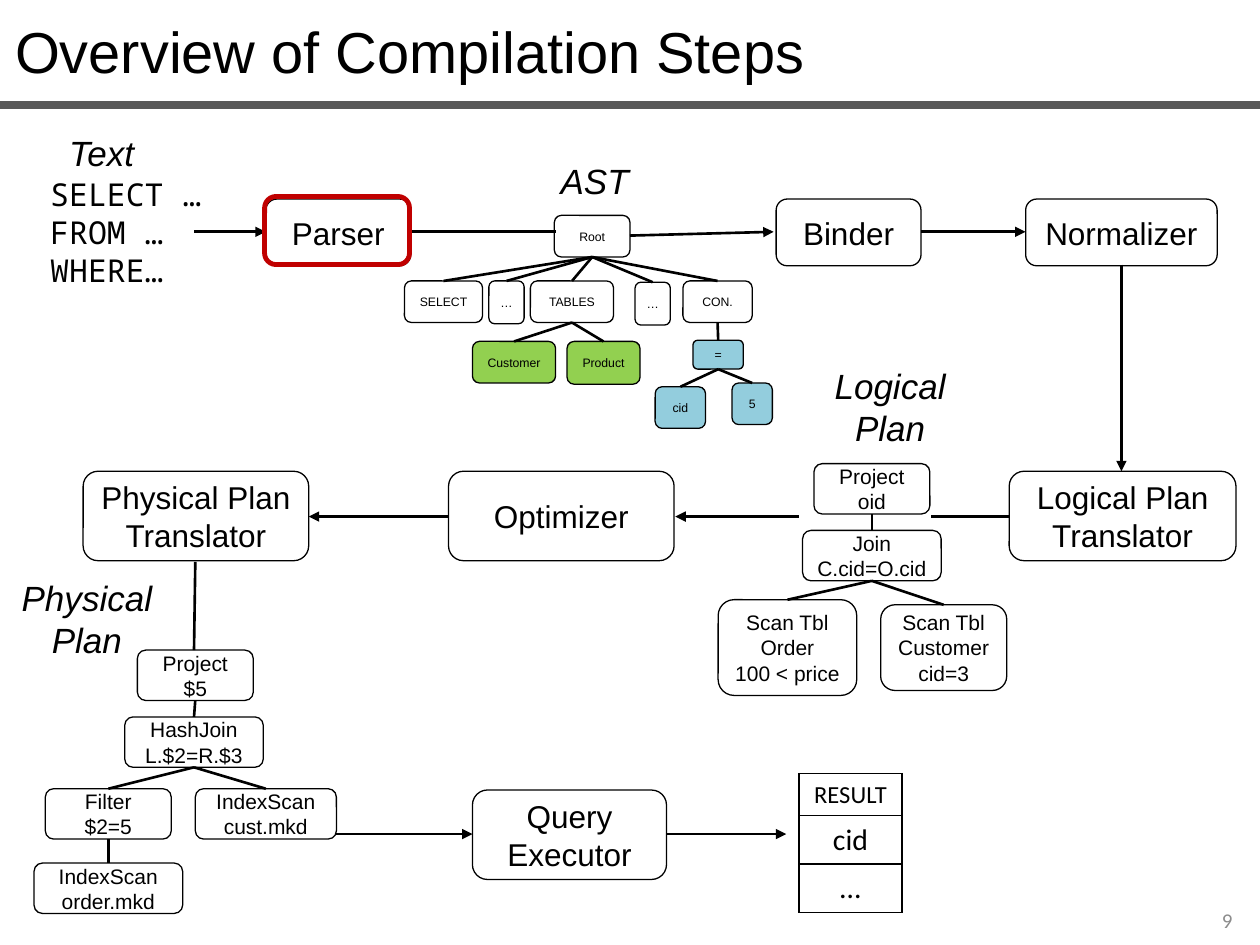
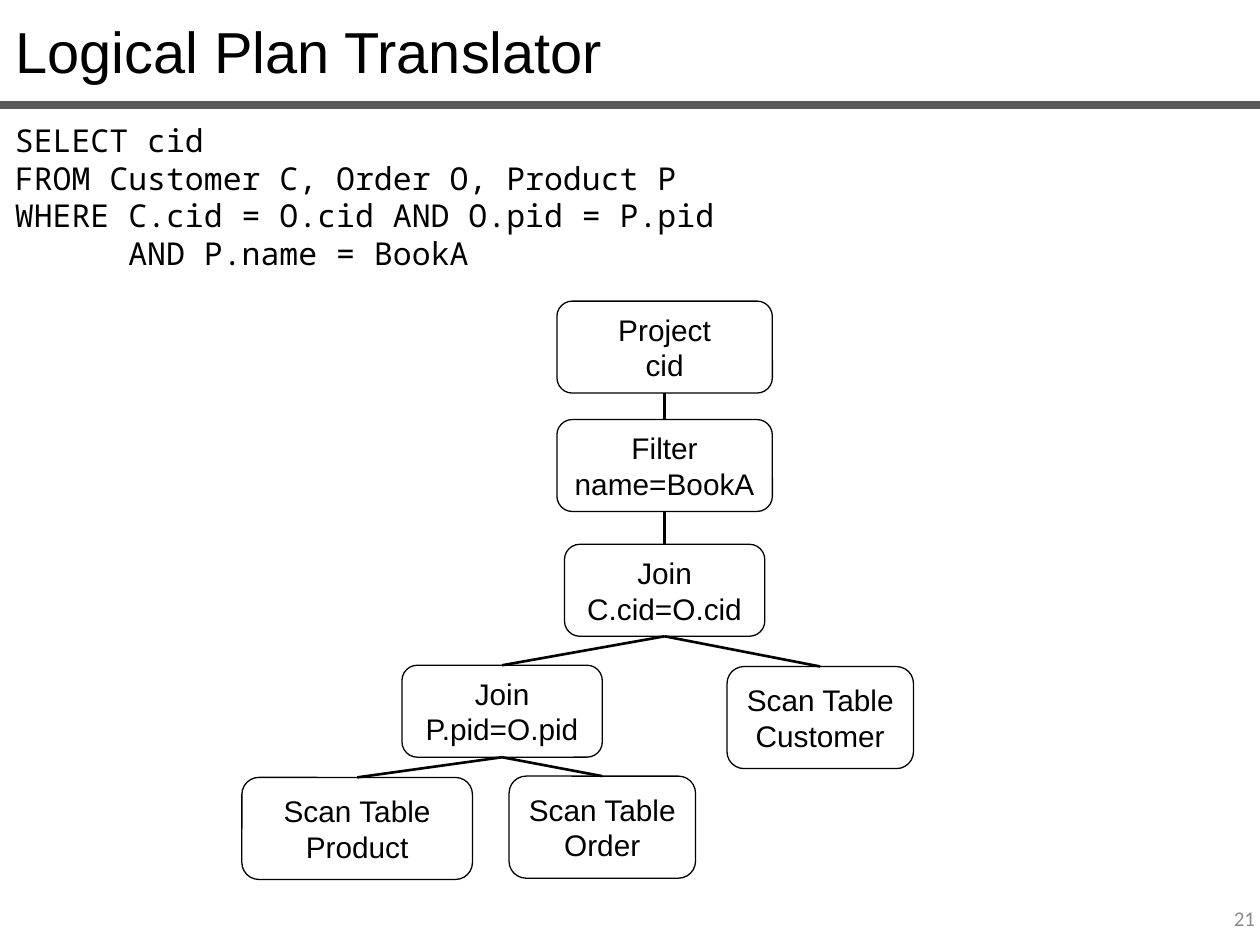
from lxml.etree import SubElement
from pptx import Presentation
from pptx.dml.color import RGBColor
from pptx.enum.shapes import MSO_CONNECTOR, MSO_SHAPE
from pptx.enum.text import MSO_ANCHOR, PP_ALIGN
from pptx.oxml.ns import qn
from pptx.util import Inches, Pt

BLACK, WHITE, GRAY, RULE = "000000", "FFFFFF", "8C8C8C", "595959"
RED, GREEN, BLUE = "C00000", "92D050", "93CDDD"
SANS, BODY, MONO = "Arial", "Calibri", "Noto Sans Mono"


def color(value):
    return RGBColor.from_string(value)


def place(left, top, width, height):
    return [Inches(value) for value in (left, top, width, height)]


def write(frame, text, size, font=SANS, shade=BLACK, align=PP_ALIGN.LEFT,
          anchor=MSO_ANCHOR.TOP, italic=False, spacing=None):
    """Fill a text frame, one paragraph for each line."""
    frame.word_wrap = True
    frame.vertical_anchor = anchor
    frame.text = text
    for para in frame.paragraphs:
        para.alignment = align
        if spacing:
            para.line_spacing = spacing
        for span in para.runs:
            span.font.name, span.font.size = font, Pt(size)
            span.font.italic = italic
            span.font.color.rgb = color(shade)


def add_label(shapes, box, text, size, **style):
    write(shapes.add_textbox(*place(*box)).text_frame, text, size, **style)


def add_node(shapes, box, text, size, fill=None, line=BLACK, weight=0.75):
    """Draw a rounded box with centred text."""
    node = shapes.add_shape(MSO_SHAPE.ROUNDED_RECTANGLE, *place(*box))
    node.shadow.inherit = False
    if fill:
        node.fill.solid()
        node.fill.fore_color.rgb = color(fill)
    else:
        node.fill.background()
    node.line.color.rgb = color(line)
    node.line.width = Pt(weight)
    frame = node.text_frame
    frame.margin_left = frame.margin_right = Inches(0.05)
    frame.margin_top = frame.margin_bottom = 0
    if text:
        write(frame, text, size, align=PP_ALIGN.CENTER, anchor=MSO_ANCHOR.MIDDLE)


def add_line(shapes, start, end, shade=BLACK, weight=1.5, arrow=False):
    line = shapes.add_connector(MSO_CONNECTOR.STRAIGHT,
                                *[Inches(value) for value in (*start, *end)])
    line.line.color.rgb = color(shade)
    line.line.width = Pt(weight)
    if arrow:
        SubElement(line.line._get_or_add_ln(), qn("a:tailEnd"), type="triangle")
    SubElement(line._element.spPr, qn("a:effectLst"))


def add_page(deck, title, number, number_box):
    """Start a slide with its title, rule and slide number."""
    page = deck.slides.add_slide(deck.slide_layouts[5])
    heading = page.shapes.title
    heading.left, heading.top, heading.width, heading.height = place(0.02, 0.07, 10, 0.66)
    write(heading.text_frame, title, 33, anchor=MSO_ANCHOR.MIDDLE)
    add_line(page.shapes, (0, 0.83), (10, 0.83), RULE, 4.5)
    add_label(page.shapes, number_box, number, 12, font=BODY, shade=GRAY,
              align=PP_ALIGN.RIGHT, anchor=MSO_ANCHOR.MIDDLE)
    return page


def add_steps(shapes, top, height, steps):
    """Draw a row of compilation steps of equal height."""
    for left, width, text in steps:
        add_node(shapes, (left, top, width, height), text, 18)


def add_tree(shapes, left, top, size, nodes):
    """Draw nodes offset from a corner, each joined to its parent.

    A node is: key, parent key, (x, y, width, height), text, fill.
    """
    boxes = {}
    for key, parent, (x, y, width, height), text, fill in nodes:
        boxes[key] = (left + x, top + y, width, height)
        add_node(shapes, boxes[key], text, size, fill)
    for key, parent, *rest in nodes:
        if parent:
            x, y, width, height = boxes[parent]
            child_x, child_y, child_width, _ = boxes[key]
            add_line(shapes, (x + width / 2, y + height),
                     (child_x + child_width / 2, child_y))


def add_result_table(shapes, left, top):
    rows = [("RESULT", 14), ("cid", 17), ("…", 17)]
    table = shapes.add_table(len(rows), 1, *place(left, top, 0.82, 0.93)).table
    table.first_row = table.horz_banding = False
    for row, (text, size) in enumerate(rows):
        cell = table.cell(row, 0)
        write(cell.text_frame, text, size, font=BODY, align=PP_ALIGN.CENTER)
        properties = cell._tc.get_or_add_tcPr()
        for side in ("lnL", "lnR", "lnT", "lnB"):
            border = SubElement(properties, qn(f"a:{side}"), w=str(Pt(1)))
            fill = SubElement(border, qn("a:solidFill"))
            SubElement(fill, qn("a:srgbClr"), val=BLACK)
        cell.fill.background()


def add_overview(deck):
    page = add_page(deck, "Overview of Compilation Steps", "9", (7.55, 7.1, 2.33, 0.4))
    shapes = page.shapes
    add_label(shapes, (0.3, 1.34, 1.48, 1.01), "SELECT …\nFROM …\nWHERE…", 18, font=MONO)

    # Compilation steps
    add_steps(shapes, 1.58, 0.53, [(2.11, 1.15, "Parser"), (6.16, 1.15, "Binder"),
                                   (8.14, 1.52, "Normalizer")])
    add_steps(shapes, 3.74, 0.71, [(8.01, 1.8, "Logical Plan Translator"),
                                   (3.56, 1.79, "Optimizer"),
                                   (0.66, 1.79, "Physical Plan Translator")])
    add_steps(shapes, 6.27, 0.71, [(3.75, 1.54, "Query Executor")])

    # Flow between the steps
    for start, end, arrow in [
        ((1.54, 1.84), (2.11, 1.84), True),
        ((3.26, 1.84), (4.41, 1.84), False),
        ((5, 1.87), (6.14, 1.84), True),
        ((7.31, 1.84), (8.14, 1.84), True),
        ((8.9, 2.1), (8.9, 3.74), True),
        ((8.01, 4.1), (7.39, 4.1), False),
        ((6.34, 4.1), (5.36, 4.1), True),
        ((3.56, 4.1), (2.45, 4.1), True),
        ((1.55, 4.46), (1.54, 5.16), False),
        ((2.55, 6.62), (3.75, 6.62), True),
        ((5.29, 6.62), (6.24, 6.62), True),
    ]:
        add_line(shapes, start, end, arrow=arrow)

    # Syntax tree
    add_tree(shapes.add_group_shape().shapes, 3.21, 1.71, 7, [
        ("root", None, (1.19, 0, 0.6, 0.33), "Root", None),
        ("select", "root", (0, 0.52, 0.62, 0.33), "SELECT", None),
        ("more", "root", (0.67, 0.52, 0.28, 0.34), "…", None),
        ("tables", "root", (1, 0.52, 0.66, 0.33), "TABLES", None),
        ("others", "root", (1.83, 0.53, 0.28, 0.34), "…", None),
        ("condition", "root", (2.21, 0.52, 0.55, 0.33), "CON.", None),
        ("customer", "tables", (0.54, 1, 0.66, 0.33), "Customer", GREEN),
        ("product", "tables", (1.29, 1, 0.58, 0.34), "Product", GREEN),
        ("equals", "condition", (2.29, 0.99, 0.4, 0.23), "=", BLUE),
        ("cid", "equals", (1.99, 1.36, 0.4, 0.33), "cid", BLUE),
        ("five", "equals", (2.6, 1.33, 0.32, 0.33), "5", BLUE),
    ])

    add_result_table(shapes, 6.34, 6.14)

    # Names of the intermediate forms
    for box, text in [((4.35, 1.05, 0.81, 0.54), "AST"), ((0.45, 0.83, 0.81, 0.54), "Text")]:
        add_label(shapes, box, text, 20, italic=True, spacing=1.5)
    for box, text in [((6.23, 2.84, 1.67, 0.77), "Logical Plan"),
                      ((0.07, 4.53, 1.24, 0.77), "Physical Plan")]:
        add_label(shapes, box, text, 20, italic=True, align=PP_ALIGN.CENTER)

    # Highlight on the current step
    add_node(shapes, (2.1, 1.56, 1.15, 0.54), "", 18, line=RED, weight=2.75)

    # Logical plan
    add_tree(shapes.add_group_shape().shapes, 5.7, 3.68, 12, [
        ("project", None, (0.76, 0, 0.92, 0.4), "Project\noid", None),
        ("join", "project", (0.67, 0.53, 1.1, 0.4), "Join\nC.cid=O.cid", None),
        ("order", "join", (0, 1.08, 1.1, 0.76), "Scan Tbl\nOrder\n100 < price", WHITE),
        ("customer", "join", (1.29, 1.12, 1, 0.68), "Scan Tbl\nCustomer\ncid=3", WHITE),
    ])

    # Physical plan
    add_tree(shapes.add_group_shape().shapes, 0.27, 5.16, 12, [
        ("project", None, (0.82, 0, 0.92, 0.4), "Project\n$5", None),
        ("join", "project", (0.72, 0.53, 1.1, 0.4), "HashJoin\nL.$2=R.$3", None),
        ("filter", "join", (0.09, 1.1, 1, 0.4), "Filter\n$2=5", None),
        ("order", "filter", (0, 1.69, 1.18, 0.4), "IndexScan\norder.mkd", WHITE),
        ("customer", "join", (1.28, 1.1, 1.12, 0.4), "IndexScan cust.mkd", WHITE),
    ])


def add_translator(deck):
    page = add_page(deck, "Logical Plan Translator", "21", (7.73, 7.09, 2.33, 0.4))
    query = ("SELECT cid\n"
             "FROM Customer C, Order O, Product P\n"
             "WHERE C.cid = O.cid AND O.pid = P.pid\n"
             "      AND P.name = BookA")
    add_label(page.shapes, (0.02, 0.91, 6.64, 1.31), query, 18, font=MONO)

    # Logical plan of the query
    add_tree(page.shapes, 1.92, 2.39, 17, [
        ("project", None, (2.5, 0, 1.71, 0.73), "Project\ncid", None),
        ("filter", "project", (2.5, 0.94, 1.71, 0.73), "Filter\nname=BookA", None),
        ("customers", "filter", (2.56, 1.93, 1.59, 0.73), "Join\nC.cid=O.cid", None),
        ("products", "customers", (1.27, 2.89, 1.59, 0.73), "Join\nP.pid=O.pid", None),
        ("customer", "customers", (3.85, 2.9, 1.48, 0.81), "Scan Table\nCustomer", WHITE),
        ("product", "products", (0, 3.78, 1.83, 0.81), "Scan Table\nProduct", WHITE),
        ("order", "products", (2.12, 3.77, 1.48, 0.81), "Scan Table\nOrder", WHITE),
    ])


def main():
    deck = Presentation()
    deck.slide_width, deck.slide_height = Inches(10), Inches(7.5)
    add_overview(deck)
    add_translator(deck)
    deck.save("out.pptx")


if __name__ == "__main__":
    main()
